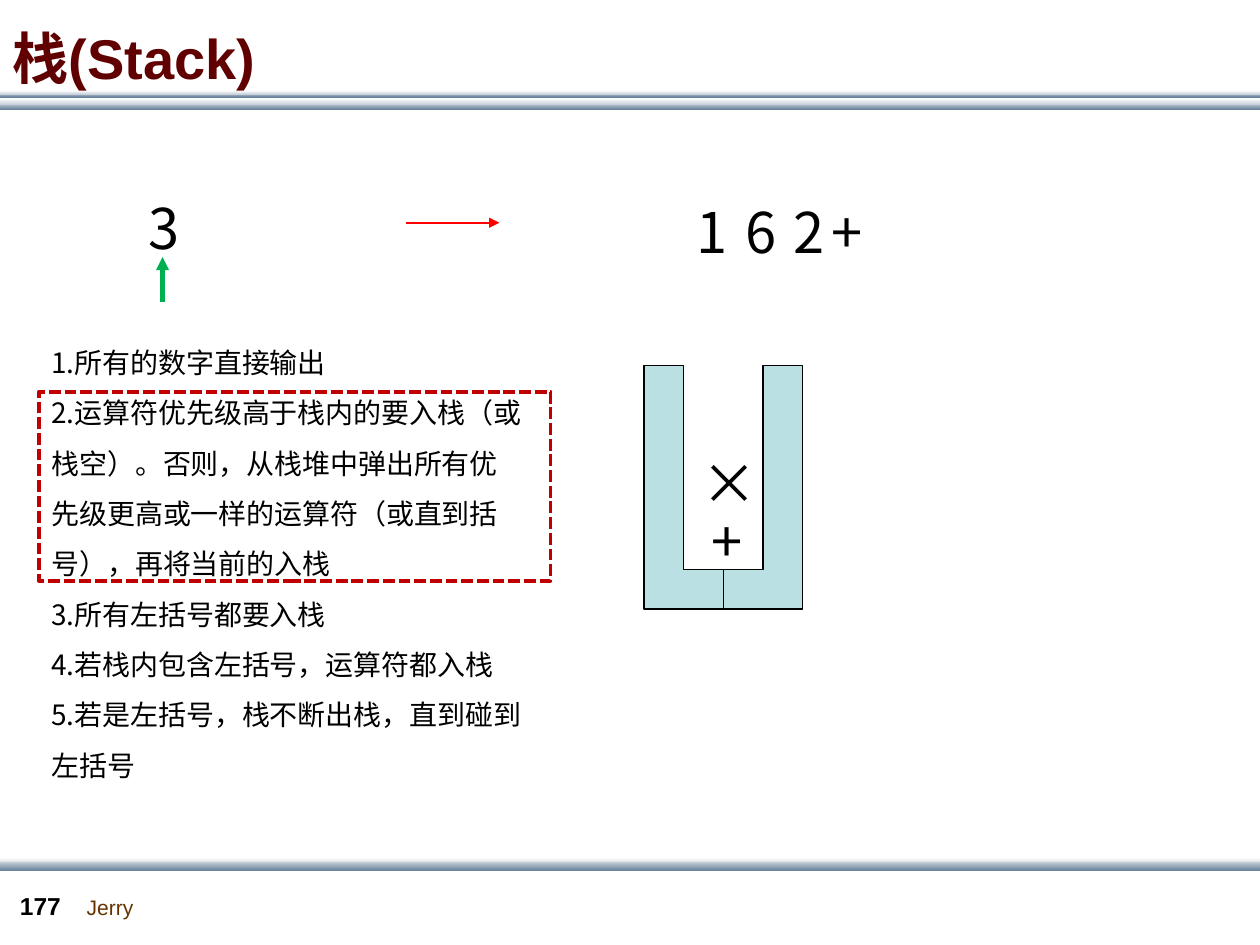
from lxml import etree
from pptx import Presentation
from pptx.dml.color import RGBColor
from pptx.enum import dml, shapes, text
from pptx.oxml.ns import qn
from pptx.util import Pt

CJK = "Noto Sans CJK SC"


def rgb(value):
    return RGBColor.from_string(value)


def add_text(box, lines, size, color="000000", bold=False, latin=CJK, wrap=True, spacing=None):
    sp = s.shapes.add_textbox(*[Pt(v) for v in box])
    tf = sp.text_frame
    tf.word_wrap = wrap
    for i, line in enumerate(lines):
        p = tf.paragraphs[0] if i == 0 else tf.add_paragraph()
        p.text = line
        p.line_spacing = spacing
        p.font.size = Pt(size)
        p.font.bold = bold
        p.font.color.rgb = rgb(color)
        p.font.name = latin
        etree.SubElement(p.font._element, qn("a:ea"), typeface=CJK)
    return tf


prs = Presentation()
prs.slide_width, prs.slide_height = Pt(720), Pt(540)
s = prs.slides.add_slide(prs.slide_layouts[6])

light, dark = ("FFFFFF", "C8D1DA"), ("C8D1DA", "6A839C")
bands = [(59, 3.6, dark), (53.3, 2.2, dark), (56.2, 3.6, light),
         (51.8, 2.2, light), (490.3, 3.6, light), (492.5, 5, dark)]
for top, height, colors in bands:
    sp = s.shapes.add_shape(shapes.MSO_SHAPE.RECTANGLE, 0, Pt(top), Pt(720.7), Pt(height))
    sp.shadow.inherit = False
    sp.line.fill.background()
    sp.fill.gradient()
    sp.fill.gradient_angle = 270
    for stop, color, position in zip(sp.fill.gradient_stops, colors, (0, 1)):
        stop.color.rgb = rgb(color)
        stop.position = position

add_text((42.5, 507.6, 41, 21.6), ["Jerry"], 12, "663300", latin="Arial", wrap=False)
add_text((4.3, 505.4, 39.6, 23.8), ["177"], 14, bold=True, latin="Arial")
title = add_text((0, 10.1, 648, 45.4), ["栈(Stack)"], 32, "600000", bold=True, latin="Arial")
title.vertical_anchor = text.MSO_ANCHOR.MIDDLE

rules = [
    "1.所有的数字直接输出",
    "2.运算符优先级高于栈内的要入栈（或栈空）。否则，从栈堆中弹出所有优先级更高或一样的运算符（或直到括号），再将当前的入栈",
    "3.所有左括号都要入栈",
    "4.若栈内包含左括号，运算符都入栈",
    "5.若是左括号，栈不断出栈，直到碰到左括号",
]
add_text((22.3, 184.3, 284.4, 264.2), rules, 16, spacing=1.5)

for left, flipped in ((368, False), (413.4, True)):
    sp = s.shapes.add_shape(shapes.MSO_SHAPE.CORNER, Pt(left), Pt(208.8), Pt(45.4), Pt(139.2))
    sp.shadow.inherit = False
    sp.fill.solid()
    sp.fill.fore_color.rgb = rgb("BBE0E3")
    sp.line.color.rgb = rgb("000000")
    sp.line.width = Pt(0.75)
    if flipped:
        sp._element.spPr.xfrm.set("flipH", "1")

arrows = [((92.9, 172.8, 92.9, 146.9), "00B050", 2.5),
          ((232.2, 127.3, 285.4, 127.3), "FF0000", 1)]
for ends, color, width in arrows:
    c = s.shapes.add_connector(shapes.MSO_CONNECTOR.STRAIGHT, *[Pt(v) for v in ends])
    c.line.color.rgb = rgb(color)
    c.line.width = Pt(width)
    spPr = c._element.spPr
    etree.SubElement(spPr.find(qn("a:ln")), qn("a:tailEnd"), type="triangle")
    etree.SubElement(spPr, qn("a:effectLst"))

symbols = [("3", 77.8, 107.3, 203), ("1", 391, 109.4, 28.1), ("6", 419, 109.4, 36),
           ("2", 446.4, 109.4, 36), ("+", 468, 109.4, 29.5),
           ("+", 399.6, 285.8, 28.1), ("×", 393.8, 252.7, 38.9)]
for symbol, left, top, width in symbols:
    add_text((left, top, width, 46.1), [symbol], 32)

sp = s.shapes.add_shape(shapes.MSO_SHAPE.RECTANGLE, Pt(22.3), Pt(223.9), Pt(292.3), Pt(108))
sp.shadow.inherit = False
sp.fill.background()
sp.line.color.rgb = rgb("C00000")
sp.line.width = Pt(2.25)
sp.line.dash_style = dml.MSO_LINE.SQUARE_DOT

prs.save("out.pptx")
